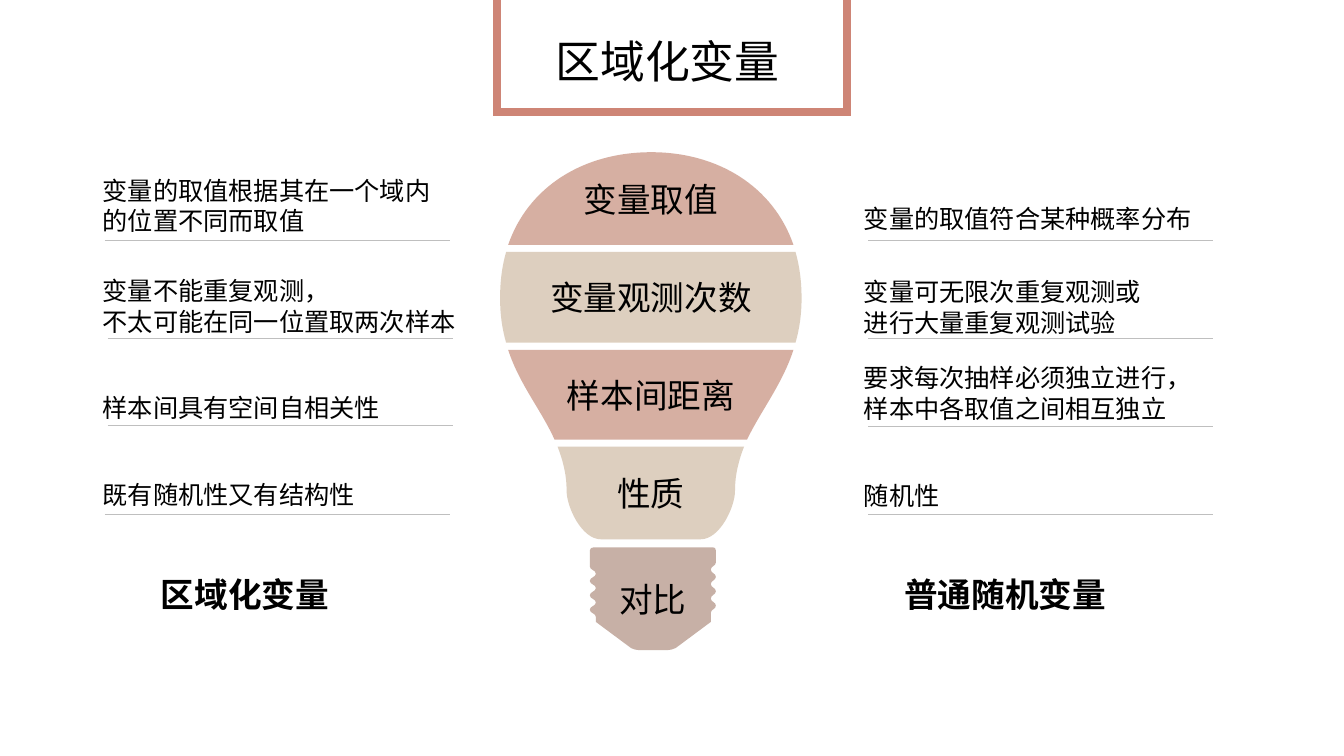
from dataclasses import dataclass

from lxml.etree import SubElement
from pptx import Presentation
from pptx.dml.color import RGBColor
from pptx.enum.shapes import MSO_CONNECTOR as Connector, MSO_SHAPE as Preset
from pptx.enum.text import MSO_ANCHOR as Anchor, MSO_AUTO_SIZE as AutoSize, PP_ALIGN as Align
from pptx.oxml.ns import qn
from pptx.util import Pt

PX = 9144
CJK_FONT = "Noto Sans CJK SC"
ROSE, SAND, TAUPE = "CFA091", "D1BDA7", "C7B0A6"
FRAME, RULE, BLACK, WHITE = "CE8576", "BFBFBF", "000000", "FFFFFF"

Point = tuple[float, float]
Segment = tuple[Point, ...]


@dataclass(frozen=True)
class BulbPart:
    """A closed band of the bulb; one-point segments are lines, three-point ones curves."""
    text: str
    color: str
    opacity: int
    start: Point
    segments: list[Segment]


@dataclass(frozen=True)
class Entry:
    """A bottom-anchored statement with the rule below it."""
    text: str
    left: int
    top: int
    width: int
    height: int
    rule_left: int
    rule_top: int
    align: Align = Align.LEFT


@dataclass(frozen=True)
class Heading:
    """A text box that grows with its text."""
    text: str
    left: int
    top: int
    width: int
    height: int
    size: int
    bold: bool
    align: Align


def thread(near: int, far: int, top: int, drop: int) -> list[Segment]:
    """Return the seven waves of one side of the screw cap."""
    waves = []
    for index in range(7):
        start, end = (near, far) if index % 2 == 0 else (far, near)
        middle = top + drop * (index + 0.5) / 7
        waves.append(((start, middle), (end, middle), (end, top + drop * (index + 1) / 7)))
    return waves


BULB = [
    BulbPart("对比", TAUPE, 100, (710, 558), [
        ((710, 546),), ((710, 544), (709, 543), (707, 543)), ((589, 543),),
        ((587, 543), (585, 544), (585, 546)), ((585, 562),),
        *thread(585, 591, 562, 50),
        ((591, 617),), ((626, 643),), ((628, 644), (631, 645), (634, 645)),
        ((662, 645),), ((665, 645), (667, 644), (670, 643)), ((705, 617),), ((705, 608),),
        *thread(705, 710, 608, -50)]),
    BulbPart("变量取值", ROSE, 84, (787, 243), [
        ((767, 185), (712, 151), (646, 151)), ((579, 151), (524, 185), (504, 243))]),
    BulbPart("变量观测次数", SAND, 72, (496, 296), [
        ((496, 312), (498, 326), (502, 340)), ((789, 340),),
        ((793, 326), (795, 312), (795, 296)), ((795, 279), (793, 264), (789, 250)),
        ((502, 250),), ((498, 264), (496, 279), (496, 296))]),
    BulbPart("性质", SAND, 72, (553, 443), [
        ((558, 456), (562, 470), (562, 487)), ((562, 503), (577, 535), (596, 535)),
        ((695, 535),), ((714, 535), (729, 503), (729, 487)),
        ((729, 470), (733, 456), (738, 443))]),
    BulbPart("样本间距离", ROSE, 84, (741, 436), [
        ((755, 407), (776, 381), (787, 347)), ((504, 347),),
        ((515, 381), (537, 407), (550, 436))]),
]
ENTRIES = [
    Entry("变量的取值根据其在一个域内\n的位置不同而取值", 92, 168, 342, 71, 104, 238),
    Entry("变量不能重复观测，\n不太可能在同一位置取两次样本", 92, 268, 374, 71, 107, 335),
    Entry("样本间具有空间自相关性", 92, 370, 352, 54, 107, 422),
    Entry("既有随机性又有结构性", 92, 456, 352, 54, 104, 510),
    Entry("变量的取值符合某种概率分布", 847, 183, 320, 54, 861, 238),
    Entry("变量可无限次重复观测或\n进行大量重复观测试验", 847, 269, 374, 71, 861, 336),
    Entry("要求每次抽样必须独立进行，\n样本中各取值之间相互独立", 847, 358, 383, 67, 861, 423,
          Align.JUSTIFY),
    Entry("随机性", 847, 457, 352, 54, 861, 510),
]
HEADINGS = [
    Heading("区域化变量", 541, 29, 301, 64, 32, False, Align.LEFT),
    Heading("区域化变量", 125, 564, 236, 50, 24, True, Align.CENTER),
    Heading("普通随机变量", 879, 564, 236, 50, 24, True, Align.CENTER),
]


def paint(target, color: str) -> None:
    """Give a fill a solid colour."""
    target.solid()
    target.fore_color.rgb = RGBColor.from_string(color)


def write_text(shape, text: str, *, size: int, font: str = CJK_FONT, bold: bool = False,
               align: Align = Align.LEFT, anchor: Anchor = Anchor.TOP,
               wrap: bool = False, grow: bool = False) -> None:
    """Write one paragraph per line of text into a shape."""
    frame = shape.text_frame
    frame.word_wrap = wrap
    frame.vertical_anchor = anchor
    frame.auto_size = AutoSize.SHAPE_TO_FIT_TEXT if grow else AutoSize.NONE
    for index, line in enumerate(text.split("\n")):
        paragraph = frame.add_paragraph() if index else frame.paragraphs[0]
        paragraph.alignment = align
        paragraph.line_spacing = Pt(round(size * 1.2))
        run = paragraph.add_run()
        run.text = line
        run.font.name = font
        run.font.size = Pt(size)
        run.font.bold = bold
        paint(run.font.fill, BLACK)
        properties = run.font._element
        properties.set("lang", "zh-CN")
        properties.find(qn("a:latin")).addnext(
            SubElement(properties, qn("a:ea"), typeface=CJK_FONT))


def bend(shape, segments: list[Segment]) -> None:
    """Turn the straight sides that stand for curves into cubic curves."""
    sides = list(shape._element.iter(qn("a:lnTo")))
    for side, segment in zip(sides, segments):
        if len(segment) == 3:
            curve = SubElement(side.getparent(), qn("a:cubicBezTo"))
            for x, y in segment:
                SubElement(curve, qn("a:pt"), x=str(round(x * PX) - shape.left),
                           y=str(round(y * PX) - shape.top))
            side.getparent().replace(side, curve)


def draw_bulb_part(slide, part: BulbPart) -> None:
    """Draw a band of the bulb with its label."""
    builder = slide.shapes.build_freeform(part.start[0] * PX, part.start[1] * PX)
    builder.add_line_segments(
        [(segment[-1][0] * PX, segment[-1][1] * PX) for segment in part.segments], close=True)
    shape = builder.convert_to_shape()
    bend(shape, part.segments)
    shape.shadow.inherit = False
    paint(shape.fill, part.color)
    shape.line.fill.background()
    if part.opacity < 100:
        color = shape._element.spPr.find(qn("a:solidFill"))[0]
        SubElement(color, qn("a:alpha"), val=str(part.opacity * 1000))
    write_text(shape, part.text, size=24, font="Calibri", align=Align.CENTER,
               anchor=Anchor.MIDDLE)


def draw_entry(slide, entry: Entry) -> None:
    """Draw a statement and its rule."""
    box = slide.shapes.add_textbox(entry.left * PX, entry.top * PX,
                                   entry.width * PX, entry.height * PX)
    write_text(box, entry.text, size=18, align=entry.align, anchor=Anchor.BOTTOM)
    rule = slide.shapes.add_connector(
        Connector.STRAIGHT, entry.rule_left * PX, entry.rule_top * PX,
        (entry.rule_left + 342) * PX, entry.rule_top * PX)
    paint(rule.line.fill, RULE)
    rule.line.width = Pt(0.25)
    SubElement(rule._element.spPr, qn("a:effectLst"))


def draw_title_frame(slide) -> None:
    """Draw the frame that hangs from the top edge."""
    frame = slide.shapes.add_shape(Preset.RECTANGLE, 493 * PX, -60 * PX, 347 * PX, 171 * PX)
    frame.shadow.inherit = False
    paint(frame.fill, WHITE)
    paint(frame.line.fill, FRAME)
    frame.line.width = Pt(5.5)
    SubElement(frame._element.spPr.find(qn("a:ln")), qn("a:miter"), lim="800000")


def draw_heading(slide, heading: Heading) -> None:
    """Draw a title or column heading."""
    box = slide.shapes.add_textbox(heading.left * PX, heading.top * PX,
                                   heading.width * PX, heading.height * PX)
    write_text(box, heading.text, size=heading.size, bold=heading.bold,
               align=heading.align, wrap=True, grow=True)


def main() -> None:
    """Build and save the slide."""
    presentation = Presentation()
    presentation.slide_width, presentation.slide_height = 1333 * PX, 750 * PX
    slide = presentation.slides.add_slide(presentation.slide_layouts[6])
    for part in BULB:
        draw_bulb_part(slide, part)
    for entry in ENTRIES:
        draw_entry(slide, entry)
    draw_title_frame(slide)
    for heading in HEADINGS:
        draw_heading(slide, heading)
    presentation.save("out.pptx")


if __name__ == "__main__":
    main()
